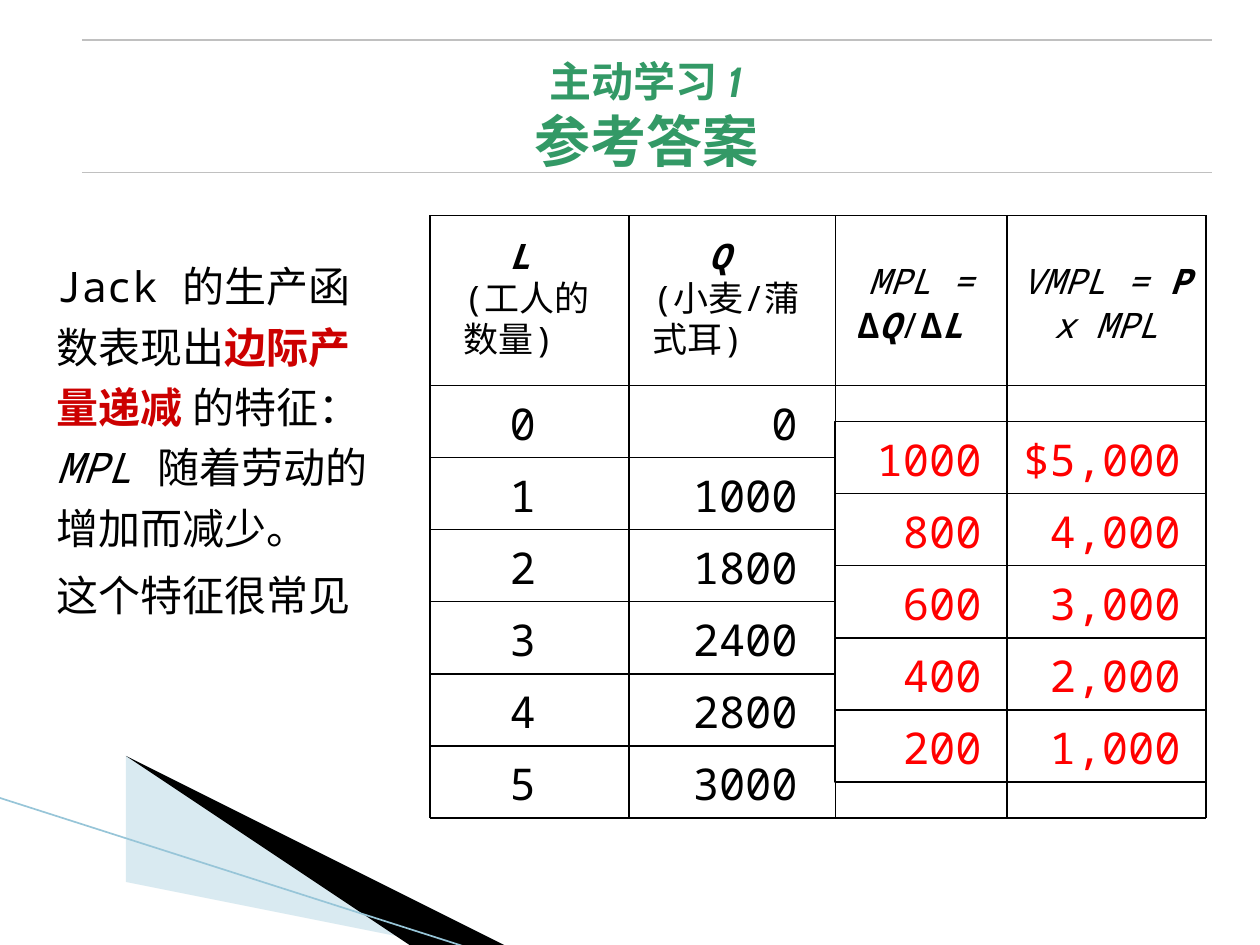
from lxml import etree
from pptx import Presentation
from pptx.dml.color import RGBColor
from pptx.enum.shapes import MSO_CONNECTOR, MSO_SHAPE
from pptx.enum.text import MSO_ANCHOR, MSO_AUTO_SIZE, PP_ALIGN
from pptx.oxml.ns import qn
from pptx.util import Inches, Pt

THEME = {
    "title": RGBColor(0x33, 0x99, 0x66),
    "text": RGBColor(0x00, 0x00, 0x00),
    "accent": RGBColor(0xCC, 0x00, 0x00),
    "answer": RGBColor(0xFF, 0x00, 0x00),
    "paper": RGBColor(0xFF, 0xFF, 0xFF),
    "rule": RGBColor(0xC0, 0xC0, 0xC0),
    "wedge_light": RGBColor(0xA0, 0xCB, 0xDC),
    "wedge_line": RGBColor(0x97, 0xC5, 0xD8),
    "title_font": "Cabin",
    "font": "Noto Sans Mono",
    "label_size": Pt(24),
    "title_size": Pt(32),
    "body_size": Pt(24),
    "header_size": Pt(20),
    "number_size": Pt(25),
}
BOLD = {"bold": True}
ITALIC = {"italic": True}
BOLD_ITALIC = {"bold": True, "italic": True}


def write_runs(paragraph, runs, size, color="text", **paragraph_format):
    """Fill a paragraph with (text, font values) pairs over a common style."""
    for name, value in paragraph_format.items():
        setattr(paragraph, name, value)
    for text, values in runs:
        run = paragraph.add_run()
        run.text = text
        style = {"name": THEME["font"], "size": THEME[size], "bold": False, "italic": False}
        for name, value in (style | values).items():
            if name != "color":
                setattr(run.font, name, value)
        run.font.color.rgb = THEME[values.get("color", color)]


def add_line(shapes, start, end, color, width=1):
    line = shapes.add_connector(MSO_CONNECTOR.STRAIGHT, *map(Inches, start + end))
    line.line.color.rgb = THEME[color]
    line.line.width = Pt(width)
    etree.SubElement(line._element.spPr, qn("a:effectLst"))


presentation = Presentation()
presentation.slide_width, presentation.slide_height = Inches(10), Inches(7.5)
slide = presentation.slides.add_slide(presentation.slide_layouts[1])
shapes = slide.shapes
title, body = shapes.title, slide.placeholders[1]

# Corner decoration
wedges = [
    ("wedge_light", [(0.55, 6.51), (5.95, 7.51), (4.56, 7.51), (0.55, 6.5)]),
    ("text", [(0.53, 6.49), (4.57, 7.51), (3.72, 7.52), (0.54, 6.5)]),
]
for color, points in wedges:
    builder = shapes.build_freeform(*points[0], scale=Inches(1))
    builder.add_line_segments(points[1:], close=True)
    wedge = builder.convert_to_shape()
    wedge.shadow.inherit = False
    wedge.fill.solid()
    wedge.fill.fore_color.rgb = THEME[color]
    wedge.line.fill.background()
    if color == "wedge_light":
        fill_color = wedge._element.spPr.find(qn("a:solidFill"))[0]
        etree.SubElement(fill_color, qn("a:alpha")).set("val", "40000")
add_line(shapes, (-0.01, 6.33), (3.71, 7.52), "wedge_line", 0.95)

# Title between two rules
for placeholder, box in [(title, (0.64, 0.39, 8.98, 1.04)), (body, (0.35, 1.86, 2.76, 5.42))]:
    placeholder.left, placeholder.top, placeholder.width, placeholder.height = map(Inches, box)
    placeholder.text_frame.auto_size = MSO_AUTO_SIZE.NONE
    placeholder.text_frame.word_wrap = True
title.text_frame.margin_top = title.text_frame.margin_bottom = 0
title.text_frame.vertical_anchor = MSO_ANCHOR.MIDDLE
heading = title.text_frame.paragraphs[0]
label_style = {"name": THEME["title_font"], "bold": True}
write_runs(heading, [("主动学习 ", label_style), ("1", label_style | ITALIC)],
           "label_size", "title", alignment=PP_ALIGN.CENTER)
heading.add_line_break()
write_runs(heading, [("参考答案", BOLD)], "title_size", "title")
for y in (0.32, 1.37):
    add_line(shapes, (0.65, y), (9.62, y), "rule")

# Explanation
body.text_frame.margin_top = Inches(0.13)
explanation = [
    ([("Jack 的生产函数表现出", {}), ("边际产量递减 ", {"bold": True, "color": "accent"}),
      ("的特征：", {}), ("MPL ", ITALIC), ("随着劳动的增加而减少。", {})], Pt(34.5), Pt(0)),
    ([("这个特征很常见", {})], Pt(30), Pt(8.4)),
]
for index, (runs, line_spacing, space_before) in enumerate(explanation):
    paragraph = body.text_frame.paragraphs[0] if index == 0 else body.text_frame.add_paragraph()
    properties = paragraph._p.get_or_add_pPr()
    properties.set("marL", "0")
    properties.set("indent", "0")
    etree.SubElement(properties, qn("a:buNone"))
    write_runs(paragraph, runs, "body_size", line_spacing=line_spacing,
               space_before=space_before, alignment=PP_ALIGN.LEFT)

# Staggered grid: marginal values sit half a row below the totals
column_edges = [3.41, 4.99, 6.63, 7.99, 9.57]
top, first_row, bottom = 1.71, 3.06, 6.49
workers = ["0", "1", "2", "3", "4", "5"]
row_height = (bottom - first_row) / len(workers)

panel = shapes.add_shape(MSO_SHAPE.RECTANGLE, Inches(3.41), Inches(1.72), Inches(6.15), Inches(4.77))
panel.shadow.inherit = False
panel.fill.solid()
panel.fill.fore_color.rgb = THEME["paper"]
panel.line.fill.background()

headers = [
    (3.58, 1.26, [[("L ", BOLD_ITALIC)], [("(工人的数量)", {})]]),
    (5.08, 1.42, [[("Q ", BOLD_ITALIC)], [("(小麦/蒲式耳)", {})]]),
    (6.63, 1.36, [[("MPL = ", ITALIC), ("∆", BOLD), ("Q", BOLD_ITALIC), ("/", {}),
                   ("∆", BOLD), ("L ", BOLD_ITALIC)]]),
    (7.99, 1.58, [[("VMPL = ", ITALIC), ("P", BOLD_ITALIC), (" x MPL", ITALIC)]]),
]
for left, width, lines in headers:
    header = shapes.add_textbox(Inches(left), Inches(top), Inches(width), Inches(1.36))
    frame = header.text_frame
    frame.word_wrap = True
    frame.vertical_anchor = MSO_ANCHOR.MIDDLE
    stacked = len(lines) > 1
    if stacked:
        frame.margin_bottom = Inches(0.1)
    for index, runs in enumerate(lines):
        paragraph = frame.add_paragraph() if index else frame.paragraphs[0]
        write_runs(paragraph, runs, "header_size",
                   alignment=PP_ALIGN.LEFT if index else PP_ALIGN.CENTER,
                   line_spacing=Pt(23 if stacked else 25.5), space_before=Pt(index))

for y in [top] + [first_row + row * row_height for row in range(len(workers) + 1)]:
    add_line(shapes, (column_edges[0], y), (column_edges[-1], y), "text")
for x in column_edges:
    add_line(shapes, (x, top), (x, bottom), "text")

columns = [
    (workers, 0, "text", PP_ALIGN.CENTER, 0.2),
    (["0", "1000", "1800", "2400", "2800", "3000"], 0, "text", PP_ALIGN.RIGHT, 0.3),
    (["1000", "800", "600", "400", "200"], 0.5, "answer", PP_ALIGN.RIGHT, 0.2),
    (["$5,000", "4,000", "3,000", "2,000", "1,000"], 0.5, "answer", PP_ALIGN.RIGHT, 0.2),
]
for column, (values, offset, color, alignment, margin_right) in enumerate(columns):
    left, right = column_edges[column:column + 2]
    for row, value in enumerate(values):
        y = first_row + (row + offset) * row_height
        box = [Inches(length) for length in (left, y, right - left, row_height)]
        if offset:
            cell = shapes.add_shape(MSO_SHAPE.RECTANGLE, *box)
            cell.shadow.inherit = False
            cell.fill.solid()
            cell.fill.fore_color.rgb = THEME["paper"]
            cell.line.color.rgb = THEME["text"]
            cell.line.width = Pt(1)
        else:
            cell = shapes.add_textbox(*box)
        cell.text_frame.word_wrap = True
        cell.text_frame.vertical_anchor = MSO_ANCHOR.MIDDLE
        cell.text_frame.margin_right = Inches(margin_right)
        write_runs(cell.text_frame.paragraphs[0], [(value, {})], "number_size", color,
                   alignment=alignment, line_spacing=1.05)

presentation.save("out.pptx")
